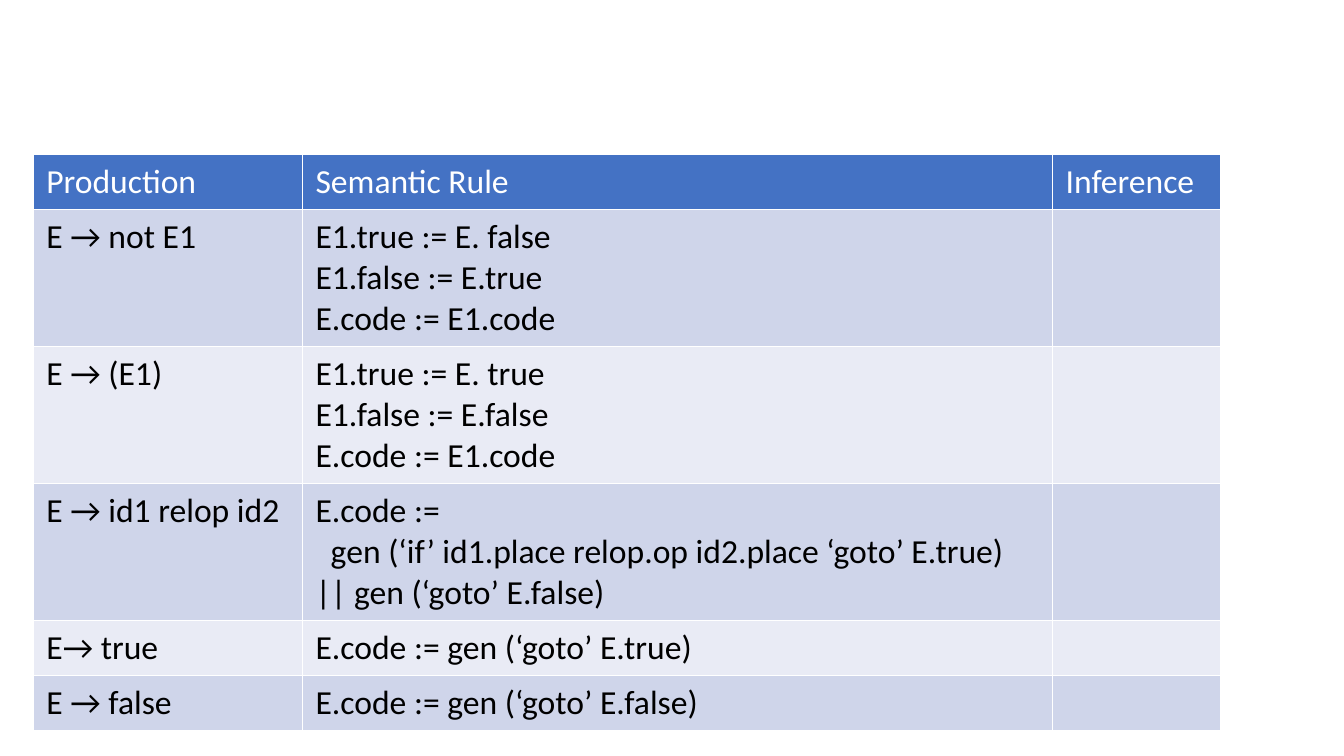
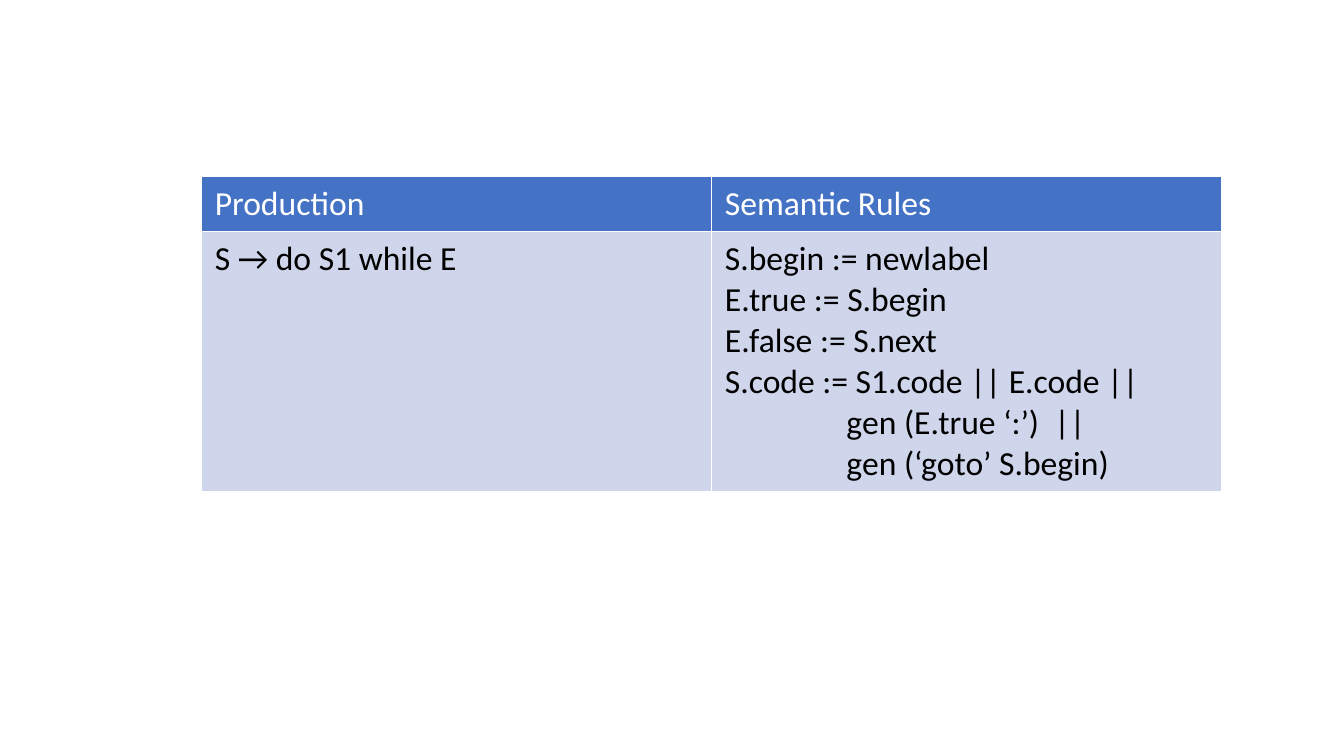
from pptx import Presentation
from pptx.dml.color import RGBColor
from pptx.util import Inches, Pt

HEADER_FILL = "4472C4"
BAND_FILLS = ("CFD5EA", "E9EBF5")
HEADER_TEXT = "FFFFFF"
BODY_TEXT = "000000"
FONT = {"name": "Calibri", "size": Pt(24), "bold": False}
MARGINS = {
    "margin_left": Inches(0.13),
    "margin_right": Inches(0.13),
    "margin_top": Inches(0.07),
    "margin_bottom": Inches(0.07),
}

TABLES = [
    {
        "left": 0.33,
        "top": 1.53,
        "columns": [2.67, 7.44, 1.67],
        "heights": [0.54, 1.33, 1.33, 1.33, 0.54, 0.54],
        "rows": [
            ["Production", "Semantic Rule", "Inference"],
            ["E → not E1", "E1.true := E. false\nE1.false := E.true\nE.code := E1.code", ""],
            ["E → (E1)", "E1.true := E. true\nE1.false := E.false\nE.code := E1.code", ""],
            [
                "E → id1 relop id2",
                "E.code :=\n"
                "  gen (‘if’ id1.place relop.op id2.place ‘goto’ E.true) || gen (‘goto’ E.false)",
                "",
            ],
            ["E→ true", "E.code := gen (‘goto’ E.true)", ""],
            ["E → false", "E.code := gen (‘goto’ E.false)", ""],
        ],
    },
    {
        "left": 2,
        "top": 1.75,
        "columns": [5.06, 5.06],
        "heights": [0.54, 2.53],
        "rows": [
            ["Production", "Semantic Rules"],
            [
                "S → do S1 while E",
                "S.begin := newlabel\n"
                "E.true := S.begin\n"
                "E.false := S.next\n"
                "S.code := S1.code || E.code ||\n"
                "                gen (E.true ‘:’)  ||\n"
                "                gen (‘goto’ S.begin)",
            ],
        ],
    },
]


def color(value):
    return RGBColor.from_string(value)


def set_all(target, values):
    for name, value in values.items():
        setattr(target, name, value)


def fill_cell(cell, text, fill, text_color):
    set_all(cell, MARGINS)
    cell.fill.solid()
    cell.fill.fore_color.rgb = color(fill)
    cell.text = text
    for para in cell.text_frame.paragraphs:
        set_all(para.font, FONT)
        para.font.color.rgb = color(text_color)


def add_rule_table(page, content):
    rows, columns, heights = content["rows"], content["columns"], content["heights"]
    frame = page.shapes.add_table(
        len(rows), len(columns),
        Inches(content["left"]), Inches(content["top"]),
        Inches(sum(columns)), Inches(sum(heights)),
    )
    table = frame.table
    for column, width in zip(table.columns, columns):
        column.width = Inches(width)
    for index, (row, height, texts) in enumerate(zip(table.rows, heights, rows)):
        row.height = Inches(height)
        fill = BAND_FILLS[(index - 1) % 2] if index else HEADER_FILL
        text_color = BODY_TEXT if index else HEADER_TEXT
        for cell, text in zip(row.cells, texts):
            fill_cell(cell, text, fill, text_color)


def main():
    """Build the slides of semantic rule tables."""
    deck = Presentation()
    deck.slide_width, deck.slide_height = Inches(13.33), Inches(7.5)
    blank = deck.slide_layouts[6]
    for content in TABLES:
        add_rule_table(deck.slides.add_slide(blank), content)
    deck.save("out.pptx")


if __name__ == "__main__":
    main()
